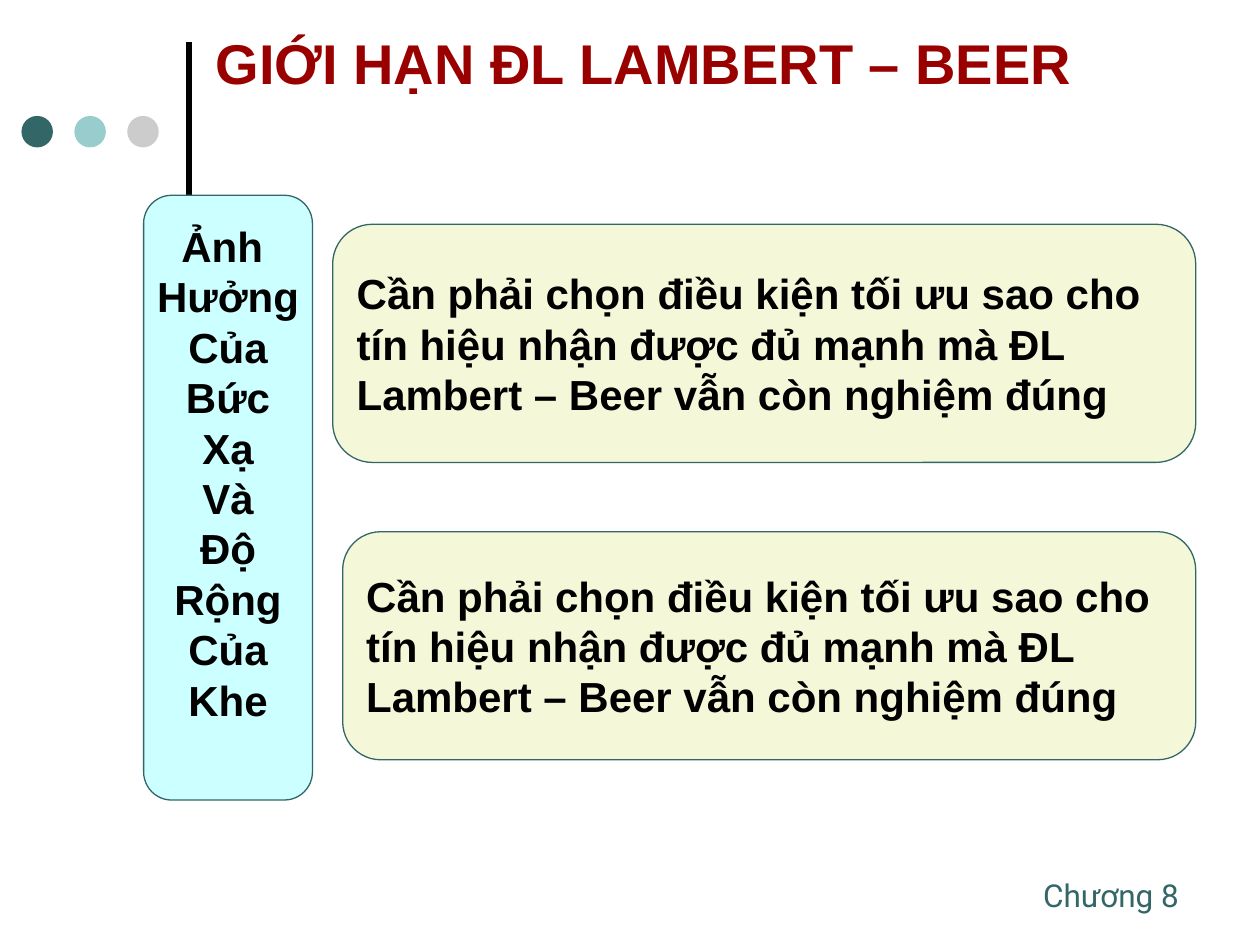
"""Build the slide on the limits of the Lambert – Beer law."""
from lxml import etree
from pptx import Presentation
from pptx.dml.color import RGBColor
from pptx.enum import shapes as s, text as t
from pptx.oxml.ns import qn
from pptx.util import Pt

TITLE = "GIỚI HẠN ĐL LAMBERT – BEER"
FOOT = "Chương 8"
TOPIC = ["Ảnh ", "Hưởng", "Của", "Bức", "Xạ", "Và", "Độ", "Rộng", "Của", "Khe"]
ADVICE = [
    "Cần phải chọn điều kiện tối ưu sao cho ",
    "tín hiệu nhận được đủ mạnh mà ĐL ",
    "Lambert – Beer vẫn còn nghiệm đúng",
]
DOTS = ["336666", "99CCCC", "CCCCCC"]
PANELS = [
    (ADVICE, (190.08, 128.16, 493.2, 136.08), "F5F7D9", t.PP_ALIGN.JUSTIFY, 27.36, 3.6),
    (TOPIC, (82.08, 111.6, 96.48, 345.6), "CCFFFF", t.PP_ALIGN.CENTER, 0, 32.4),
    (ADVICE, (195.84, 303.84, 487.44, 130.32), "F5F7D9", t.PP_ALIGN.JUSTIFY, 27.36, 3.6),
]


def paint(form, color):
    form.solid() if hasattr(form, "solid") else None
    target = form.fore_color if hasattr(form, "fore_color") else form.color
    target.rgb = RGBColor.from_string(color)


def style(frame, size, name, color, bold=False):
    for para in frame.paragraphs:
        for run in para.runs:
            run.font.size = Pt(size)
            run.font.name = name
            run.font.bold = bold
            paint(run.font, color)


def add_form(slide, kind, box, color):
    form = slide.shapes.add_shape(kind, *map(Pt, box))
    form.shadow.inherit = False
    paint(form.fill, color)
    return form


def add_panel(slide, lines, box, color, align, indent, bottom):
    panel = add_form(slide, s.MSO_SHAPE.ROUNDED_RECTANGLE, box, color)
    paint(panel.line, "336666")
    panel.line.width = Pt(0.75)
    frame = panel.text_frame
    frame.text = "\n".join(lines)
    frame.word_wrap = False
    frame.vertical_anchor = t.MSO_ANCHOR.MIDDLE
    frame.margin_bottom = Pt(bottom)
    for para in frame.paragraphs:
        para.alignment = align
        if indent:
            props = para._p.get_or_add_pPr()
            props.set("marL", str(Pt(indent)))
            props.set("indent", str(-Pt(indent)))
    style(frame, 24, "Arial", "000000", True)


def main():
    deck = Presentation()
    deck.slide_width, deck.slide_height = Pt(720), Pt(540)
    slide = deck.slides.add_slide(deck.slide_layouts[5])

    rule = slide.shapes.add_connector(
        s.MSO_CONNECTOR.STRAIGHT, Pt(108), Pt(126), Pt(108), Pt(24))
    paint(rule.line, "000000")
    rule.line.width = Pt(3)
    etree.SubElement(rule._element.spPr, qn("a:effectLst"))

    for i, color in enumerate(DOTS):
        dot = add_form(slide, s.MSO_SHAPE.OVAL, (12.24 + 30.24 * i, 66.24, 18, 18), color)
        dot.line.fill.background()

    foot = slide.shapes.add_textbox(Pt(588.96), Pt(496.8), Pt(97.2), Pt(28.8)).text_frame
    foot.text = FOOT
    foot.word_wrap = False
    style(foot, 18, "Roboto", "336666")

    title = slide.shapes.title
    title.left, title.top, title.width, title.height = map(Pt, (115.92, 0, 555.84, 71.28))
    frame = title.text_frame
    frame.text = TITLE
    frame.auto_size = t.MSO_AUTO_SIZE.NONE
    frame.vertical_anchor = t.MSO_ANCHOR.MIDDLE
    frame.paragraphs[0].alignment = t.PP_ALIGN.LEFT
    style(frame, 32, "Arial", "990000", True)

    for panel in PANELS:
        add_panel(slide, *panel)
    deck.save("out.pptx")


if __name__ == "__main__":
    main()
